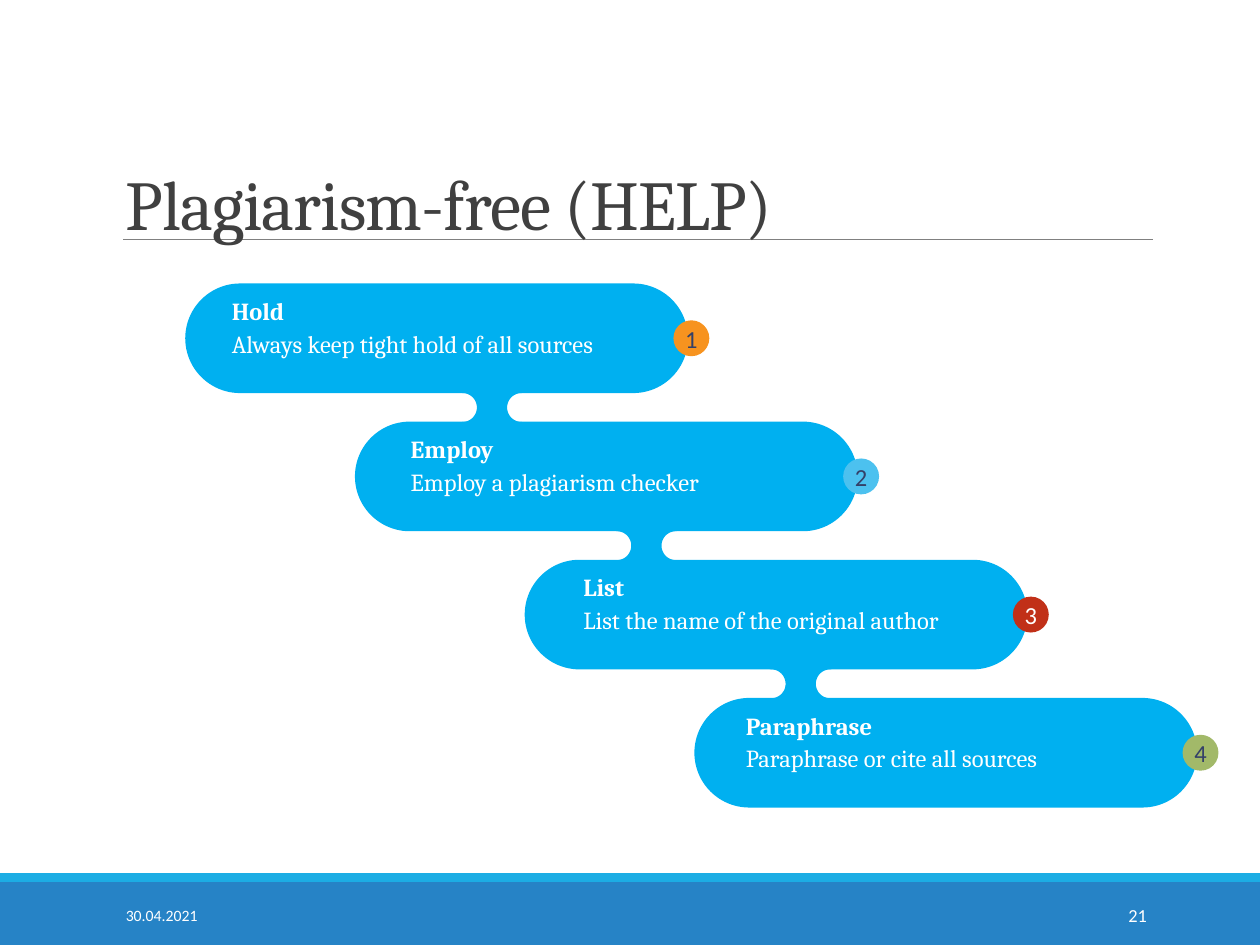
from dataclasses import dataclass
from math import cos, pi, sin

from lxml.etree import SubElement
from pptx import Presentation
from pptx.dml.color import RGBColor as Rgb
from pptx.enum.shapes import MSO_CONNECTOR as Link, MSO_SHAPE as Kind
from pptx.enum.text import MSO_ANCHOR as Anchor, PP_ALIGN as Align
from pptx.oxml.ns import qn
from pptx.util import Inches, Pt

WIDE, HIGH = Inches(10), Inches(7.5)


@dataclass(frozen=True)
class Theme:
    pill: str = "00B0F0"
    band: str = "2683C6"
    edge: str = "1CADE4"
    rule: str = "808080"
    title: str = "404040"
    light: str = "FFFFFF"
    dark: str = "344068"
    serif: str = "Cambria"
    sans: str = "Calibri"
    head: float = 40
    body: float = 14
    date: float = 9
    page: float = 10.5


LOOK = Theme()
STEPS = [
    ("Hold", "Always keep tight hold of all sources", 18.4, "F7931F", LOOK.dark),
    ("Employ", "Employ a plagiarism checker", 32.6, "4CC1EF", LOOK.dark),
    ("List", "List the name of the original author", 46.3, "C13018", LOOK.light),
    ("Paraphrase", "Paraphrase or cite all sources", 59.2, "A2B969", LOOK.dark),
]
LEFT, TOP = 14.7, 30
RIGHT, DOWN = 13.47, 14.62
LONG, TALL = 39.9, 11.6
DOT = 2.85


def col(share):
    return round(WIDE * share / 100)


def row(share):
    return round(HIGH * share / 100)


def paint(shape, color):
    shape.shadow.inherit = False
    shape.fill.solid()
    shape.fill.fore_color.rgb = Rgb.from_string(color)
    shape.line.fill.background()
    return shape


def block(slide, kind, x, y, w, h, color):
    return paint(slide.shapes.add_shape(kind, x, y, w, h), color)


def write(frame, text, size, color, face, bold=False, align=Align.LEFT):
    para = frame.paragraphs[0]
    para.text = text
    para.alignment = align
    font = para.font
    font.size, font.name, font.bold = Pt(size), face, bold
    font.color.rgb = Rgb.from_string(color)
    return para


def label(slide, x, y, w, h, anchor, text, *style, pad=1, **more):
    frame = slide.shapes.add_textbox(col(x), row(y), col(w), row(h)).text_frame
    frame.word_wrap = True
    frame.vertical_anchor = anchor
    frame.margin_left = frame.margin_right = col(pad)
    return write(frame, text, *style, **more)


def neck(slide, x, y):
    half, flat, bow, reach = 2.95, 2.35, 1.15, 1.3
    turns = [pi * n / 24 for n in range(25)]
    arc = [(-flat + bow * sin(t), bow * cos(t)) for t in turns]
    side = [(-half, reach), *arc, (-half, -reach)]
    ring = side + [(-a, b) for a, b in reversed(side)]
    spots = [(col(x + a), row(y) + col(b)) for a, b in ring]
    form = slide.shapes.build_freeform(*spots[0])
    form.add_line_segments(spots[1:], close=True)
    paint(form.convert_to_shape(), LOOK.pill)


def badge(slide, x, y, text, fill, ink):
    size = col(DOT)
    dot = block(slide, Kind.OVAL, col(x), row(y) - size // 2, size, size, fill)
    frame = dot.text_frame
    frame.margin_left = frame.margin_right = 0
    frame.margin_top = frame.margin_bottom = 0
    frame.word_wrap = False
    frame.vertical_anchor = Anchor.MIDDLE
    write(frame, text, LOOK.body, ink, LOOK.sans, align=Align.CENTER)


def step(slide, n, name, note, inset, fill, ink):
    x, y = LEFT + n * RIGHT, TOP + n * DOWN
    pill = block(slide, Kind.ROUNDED_RECTANGLE,
                 col(x), row(y), col(LONG), row(TALL), LOOK.pill)
    pill.adjustments[0] = 0.5
    style = LOOK.body, LOOK.light, LOOK.serif
    label(slide, inset, y + 0.6, 32.4, 4.5, Anchor.BOTTOM,
          name, *style, pad=0, bold=True)
    label(slide, inset, y + 4.15, 32.4, 4.5, Anchor.TOP,
          note, *style, pad=0, align=Align.JUSTIFY)
    badge(slide, x + 38.75, y + TALL / 2, str(n + 1), fill, ink)


def frame(slide):
    for y, h, color in ((93.33, 6.67, LOOK.band), (92.4, 0.93, LOOK.edge)):
        block(slide, Kind.RECTANGLE, 0, row(y), WIDE, row(h), color)
    rule = slide.shapes.add_connector(
        Link.STRAIGHT, col(9.8), row(25.33), col(91.5), row(25.33))
    rule.line.width = Pt(0.5)
    rule.line.color.rgb = Rgb.from_string(LOOK.rule)
    SubElement(rule.element.spPr, qn("a:effectLst"))


def words(slide):
    head = label(slide, 9, 14.4, 82.5, 12.13, Anchor.BOTTOM,
                 "Plagiarism-free (HELP)", LOOK.head, LOOK.title, LOOK.serif)
    head.line_spacing = 0.85
    head.runs[0].font._element.set("spc", "-50")
    for x, w, text, size, align in (
        (9, 20.3, "30.04.2021", LOOK.date, Align.LEFT),
        (81.2, 10.8, "21", LOOK.page, Align.RIGHT),
    ):
        foot = label(slide, x, 94.13, w, 5.33, Anchor.MIDDLE,
                     text, size, LOOK.light, LOOK.sans, align=align)
        foot.space_after = Pt(6)


def main():
    deck = Presentation()
    deck.slide_width, deck.slide_height = WIDE, HIGH
    slide = deck.slides.add_slide(deck.slide_layouts[6])
    frame(slide)
    for n in range(len(STEPS) - 1):
        neck(slide, 39.05 + n * 12.25, 43.13 + n * DOWN)
    for n, item in enumerate(STEPS):
        step(slide, n, *item)
    words(slide)
    deck.save("out.pptx")


if __name__ == "__main__":
    main()
